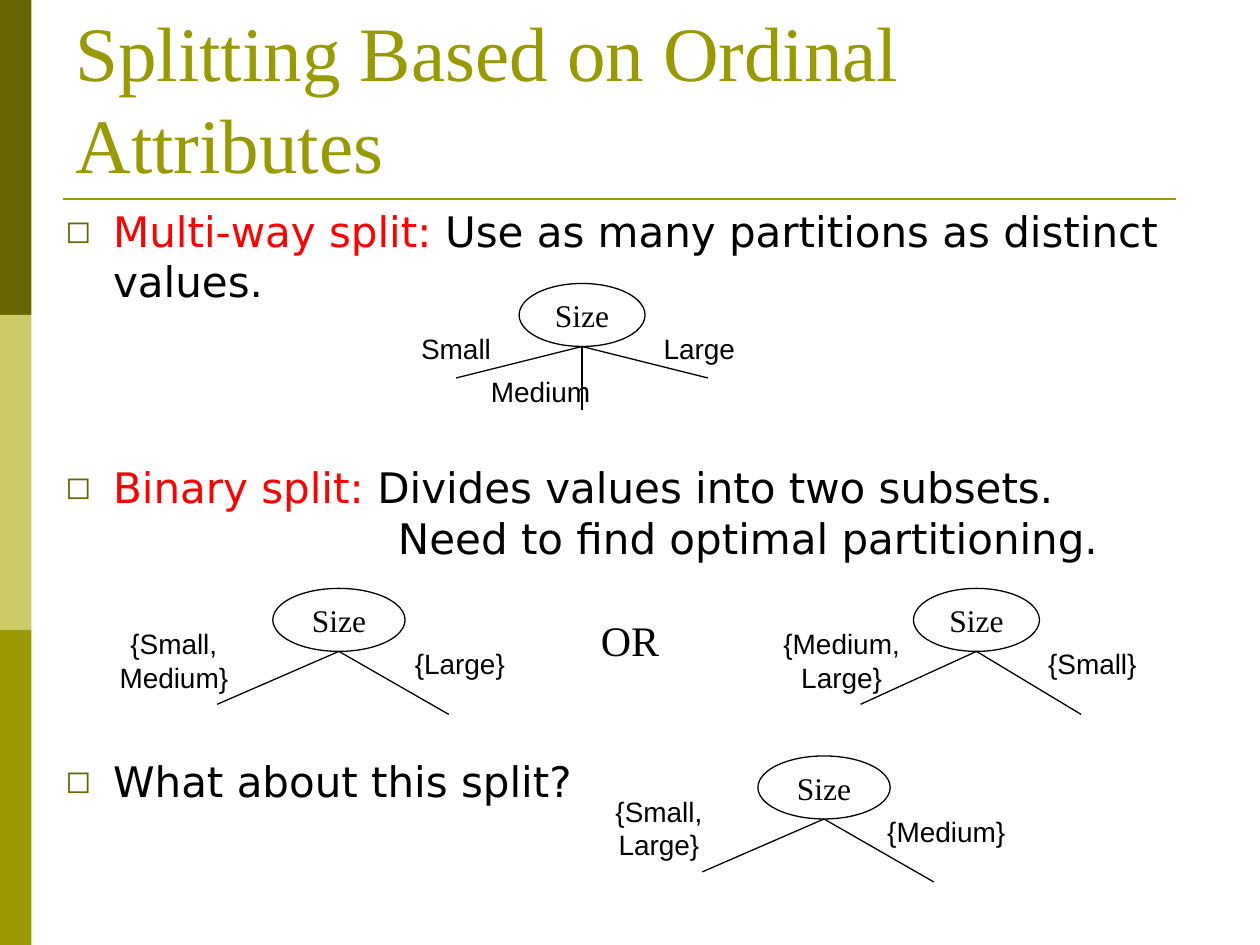
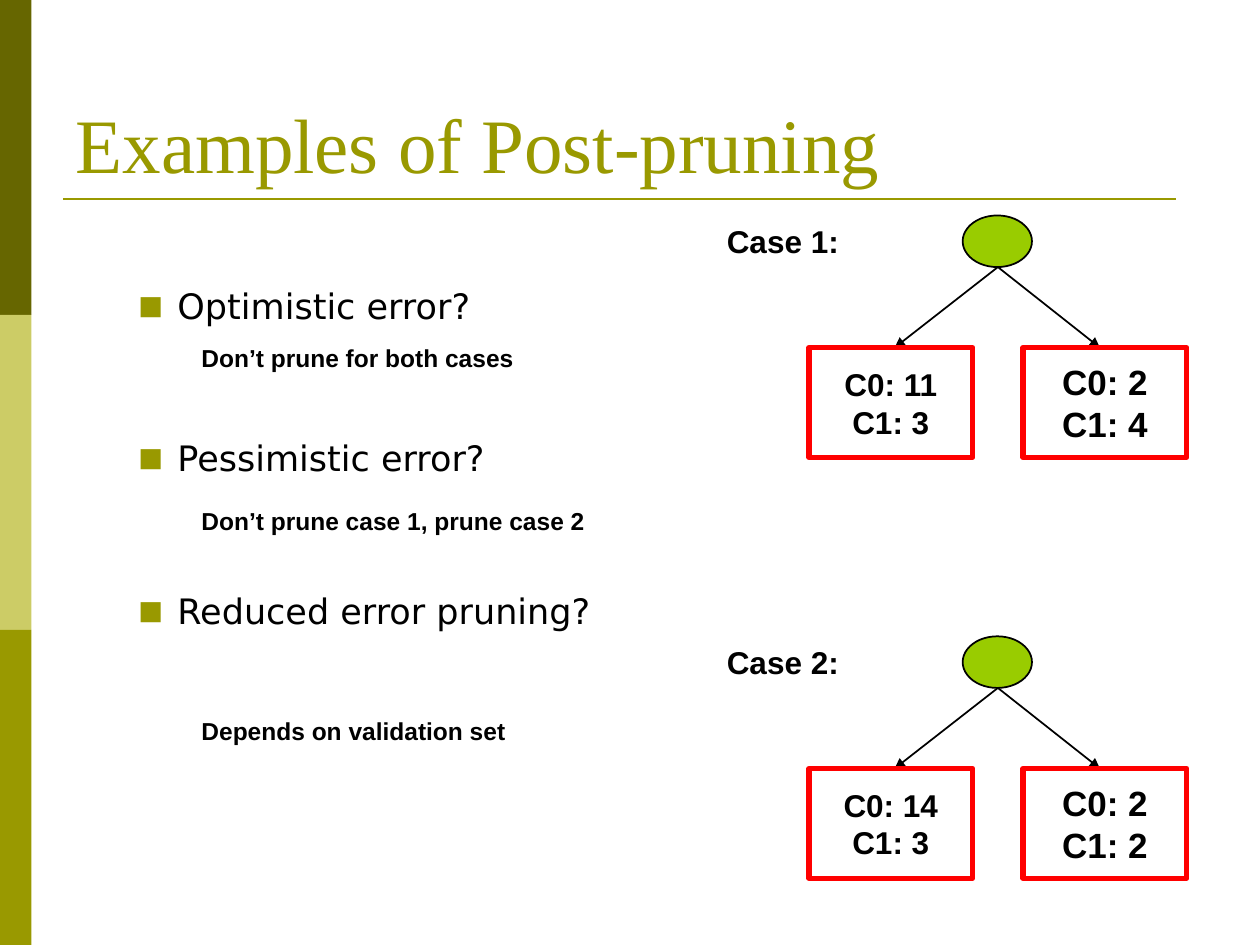
from lxml.etree import SubElement
from pptx import Presentation
from pptx.dml.color import RGBColor
from pptx.enum.shapes import MSO_CONNECTOR, MSO_SHAPE
from pptx.enum.text import MSO_ANCHOR, MSO_AUTO_SIZE, PP_ALIGN
from pptx.oxml.ns import qn
from pptx.util import Inches, Pt

DARK, PALE, OLIVE = "666600", "CCCC66", "999900"
BLACK, WHITE, RED, GREEN = "000000", "FFFFFF", "FF0000", "99CC00"
SANS, SERIF, BODY = "Arial", "Times New Roman", "DejaVu Sans"


def rgb(value):
    return RGBColor.from_string(value)


class Deck:
    """Holds the shared style and draws on the current slide."""

    def __init__(self):
        self.prs = Presentation()
        self.prs.slide_width, self.prs.slide_height = Inches(10), Inches(7.5)
        self.s = None

    def new_slide(self, title):
        self.s = self.prs.slides.add_slide(self.prs.slide_layouts[5])
        for i, color in enumerate((DARK, PALE, OLIVE)):
            self.shape(MSO_SHAPE.RECTANGLE, 0, 2.5 * i, 0.25, 2.5, color)
        self.line(0.5, 1.58, 9.33, 1.58, OLIVE, 1.5)
        sp = self.s.shapes.title
        sp.left, sp.top = Inches(0.5), Inches(0.3)
        sp.width, sp.height = Inches(9), Inches(1.25)
        tf = sp.text_frame
        tf.text = title
        tf.auto_size = MSO_AUTO_SIZE.NONE
        tf.vertical_anchor = MSO_ANCHOR.BOTTOM
        tf.paragraphs[0].alignment = PP_ALIGN.LEFT
        self.style(tf.paragraphs[0].runs[0], 44, SERIF, OLIVE)

    def style(self, r, size, font, color=BLACK, bold=False):
        r.font.size, r.font.name, r.font.bold = Pt(size), font, bold
        r.font.color.rgb = rgb(color)

    def shape(self, kind, x, y, w, h, fill=None, border=None, width=0.75):
        sp = self.s.shapes.add_shape(kind, Inches(x), Inches(y), Inches(w), Inches(h))
        sp.shadow.inherit = False
        if fill:
            sp.fill.solid()
            sp.fill.fore_color.rgb = rgb(fill)
        else:
            sp.fill.background()
        if border:
            sp.line.color.rgb = rgb(border)
            sp.line.width = Pt(width)
        else:
            sp.line.fill.background()
        return sp

    def line(self, x1, y1, x2, y2, color=BLACK, width=0.75, arrow=False):
        cn = self.s.shapes.add_connector(
            MSO_CONNECTOR.STRAIGHT, Inches(x1), Inches(y1), Inches(x2), Inches(y2))
        cn.line.color.rgb = rgb(color)
        cn.line.width = Pt(width)
        spPr = cn._element.spPr
        if arrow:
            SubElement(spPr.find(qn("a:ln")), qn("a:tailEnd"), type="triangle")
        SubElement(spPr, qn("a:effectLst"))

    def set_text(self, sp, text, size, font=SANS, bold=False, align=PP_ALIGN.CENTER):
        tf = sp.text_frame
        tf.text = text
        tf.word_wrap = False
        tf.vertical_anchor = MSO_ANCHOR.MIDDLE
        for p in tf.paragraphs:
            p.alignment = align
            for r in p.runs:
                self.style(r, size, font, bold=bold)

    def textbox(self, x, y, w, h):
        return self.s.shapes.add_textbox(Inches(x), Inches(y), Inches(w), Inches(h))

    def label(self, text, cx, y, h=0.37, size=16, font=SANS):
        self.set_text(self.textbox(cx - 0.6, y, 1.2, h), text, size, font)

    def note(self, text, x, y, w, h, size):
        self.set_text(self.textbox(x, y, w, h), text, size, bold=True, align=PP_ALIGN.LEFT)

    def body(self, x, y, w, h, paragraphs, size, bullet, color, hanging):
        tf = self.textbox(x, y, w, h).text_frame
        tf.word_wrap = True
        for i, (margin, gap, marked, runs) in enumerate(paragraphs):
            p = tf.add_paragraph() if i else tf.paragraphs[0]
            p.space_before = Pt(gap)
            pPr = p._p.get_or_add_pPr()
            pPr.set("marL", str(Inches(margin)))
            if marked:
                pPr.set("indent", str(-Inches(hanging)))
                SubElement(SubElement(pPr, qn("a:buClr")), qn("a:srgbClr"), val=color)
                SubElement(pPr, qn("a:buSzPct"), val="75000")
                SubElement(pPr, qn("a:buFont"), typeface=BODY)
                SubElement(pPr, qn("a:buChar"), char=bullet)
            for text, run_color in runs:
                r = p.add_run()
                r.text = text
                self.style(r, size, BODY, run_color)

    def size_node(self, cx, y, w, branches):
        sp = self.shape(MSO_SHAPE.OVAL, cx - w / 2, y, w, 0.5, WHITE, BLACK)
        self.set_text(sp, "Size", 18, SERIF)
        for dx, dy in branches:
            self.line(cx, y + 0.5, cx + dx, y + 0.5 + dy)

    def binary_split(self, cx, y, w, left, left_dx, right, right_dx):
        self.size_node(cx, y, w, [(-0.92 * w, 0.42), (0.83 * w, 0.5)])
        self.label(left, cx + left_dx, y + 0.25, 0.64)
        self.label(right, cx + right_dx, y + 0.41)

    def pruning_case(self, name, y, left, right):
        self.note(name, 5.67, y, 1.33, 0.4, 18)
        self.shape(MSO_SHAPE.OVAL, 7.64, y, 0.55, 0.41, GREEN, BLACK, 1)
        for text, x, size, tip in ((left, 6.42, 18, 7.1), (right, 8.12, 20, 8.73)):
            self.line(7.92, y + 0.41, tip, y + 1.05, width=1, arrow=True)
            sp = self.shape(MSO_SHAPE.RECTANGLE, x, y + 1.05, 1.3, 0.87, None, RED, 3)
            self.set_text(sp, text, size, bold=True)


def ordinal_slide(deck):
    deck.new_slide("Splitting Based on Ordinal Attributes")
    deck.body(0.42, 1.58, 9.17, 5.75, [
        (0.38, 0, True, [("Multi-way split:", RED),
                         (" Use as many partitions as distinct values.", BLACK)]),
        (0.38, 89, True, [("Binary split:", RED),
                          (" Divides values into two subsets.", BLACK)]),
        (2.64, 0, False, [("Need to find optimal partitioning.", BLACK)]),
        (0.38, 110, True, [("What about this split?", BLACK)]),
    ], 24, "◻", DARK, 0.38)
    deck.size_node(4.62, 2.25, 1, [(-1, 0.25), (0, 0.5), (1, 0.25)])
    for text, cx, y in (("Small", 3.62, 2.58), ("Medium", 4.29, 2.92), ("Large", 5.55, 2.58)):
        deck.label(text, cx, y)
    deck.binary_split(7.75, 4.67, 1, "{Medium,\nLarge}", -1.07, "{Small}", 0.92)
    deck.binary_split(2.69, 4.67, 1.05, "{Small,\nMedium}", -1.31, "{Large}", 0.96)
    deck.binary_split(6.54, 6, 1.05, "{Small,\nLarge}", -1.31, "{Medium}", 0.97)
    deck.label("OR", 5, 4.83, 0.5, 24, SERIF)


def pruning_slide(deck):
    deck.new_slide("Examples of Post-pruning")
    questions = ("Optimistic error?", "Pessimistic error?", "Reduced error pruning?")
    deck.body(0.5, 2.21, 5, 4.95,
              [(0.81, 63 if i else 0, True, [(text, BLACK)])
               for i, text in enumerate(questions)],
              20, "■", OLIVE, 0.31)
    deck.pruning_case("Case 1:", 1.71, "C0: 11\nC1: 3", "C0: 2\nC1: 4")
    deck.pruning_case("Case 2:", 5.05, "C0: 14\nC1: 3", "C0: 2\nC1: 2")
    for text, y in (("Don’t prune for both cases", 2.67),
                    ("Don’t prune case 1, prune case 2", 3.96),
                    ("Depends on validation set", 5.63)):
        deck.note(text, 1.5, y, 3.58, 0.34, 14)


def main():
    deck = Deck()
    ordinal_slide(deck)
    pruning_slide(deck)
    deck.prs.save("out.pptx")


if __name__ == "__main__":
    main()
